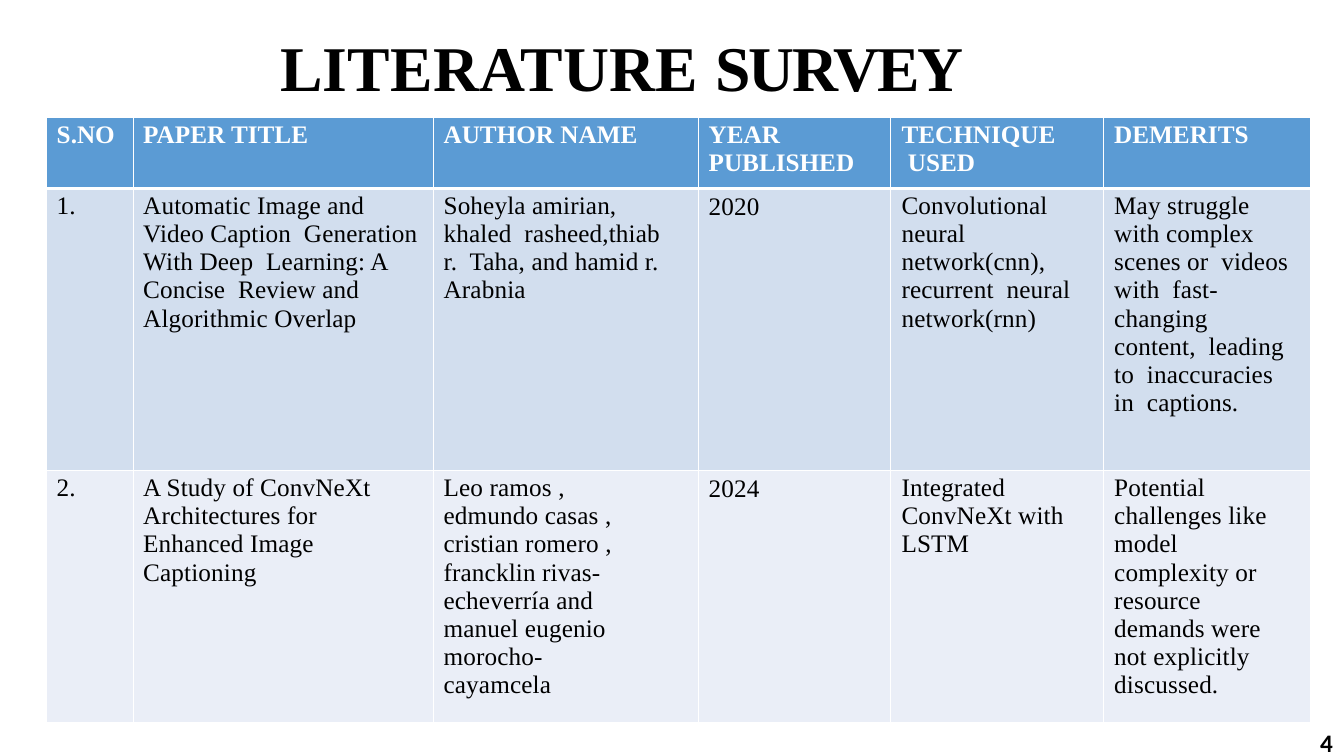
import pptx
import pptx.util
import pptx.dml.color
import pptx.oxml
import pptx.oxml.ns
from pptx.util import Cm, Pt

# Content
TITLE = [("LITERATURE ", 20), ("SURVEY", -160)]
PAGE = "4"
HEADER = ["S.NO", "PAPER TITLE", "AUTHOR NAME", "YEAR PUBLISHED",
          "TECHNIQUE\n USED", "DEMERITS"]
PAPERS = [
    ["1.",
     "Automatic Image and Video Caption  Generation With Deep  Learning: A "
     "Concise  Review and Algorithmic Overlap",
     "Soheyla amirian, khaled  rasheed,thiab r.  Taha, and hamid r.  Arabnia",
     "2020",
     "Convolutional neural network(cnn), recurrent  neural network(rnn)",
     "May struggle with complex scenes or  videos with  fast-changing "
     "content,  leading to  inaccuracies in  captions."],
    ["2.",
     "A Study of ConvNeXt Architectures for Enhanced Image Captioning",
     "Leo ramos , edmundo casas , cristian romero , francklin "
     "rivas-echeverría and manuel eugenio morocho-cayamcela",
     "2024",
     "Integrated ConvNeXt with LSTM",
     "Potential challenges like model complexity or resource demands were "
     "not explicitly discussed."],
]

# Layout and style
COLS = [2.18, 7.57, 6.68, 4.83, 5.36, 5.23]
ROWS = [1.78, 7.11, 6.35]
LEFT_INDENT = [0.25, 0.25, 0.25, 0.25, 0.28, 0.28]
RIGHT_INDENT = [[0] * 6,
                [0, 0.3, 0.74, 0, 0.4, 0.5],
                [0, 1.14, 1.7, 0, 0.4, 0.86]]
FILLS = ["5B9BD4", "D2DEEE", "EAEEF7"]
SPACE_BEFORE = [2.1, 2.1, 2.5]
YEAR = 3
SERIF = "Times New Roman"


def color(value):
    return pptx.dml.color.RGBColor.from_string(value)


def add_text(p, text, size, font=SERIF, ink="000000", bold=False, spacing=0):
    for i, line in enumerate(text.split("\n")):
        if i:
            p.add_line_break()
        r = p.add_run()
        r.text = line
        r.font.name, r.font.size, r.font.bold = font, Pt(size), bold
        r.font.color.rgb = color(ink)
        if spacing:
            r._r.get_or_add_rPr().set("spc", str(spacing))


def add_box(s, left, top, width, height):
    tf = s.shapes.add_textbox(Cm(left), Cm(top), Cm(width), Cm(height)).text_frame
    tf.word_wrap = True
    return tf


def set_borders(cell, widths):
    tcPr = cell._tc.get_or_add_tcPr()
    for i, (side, width) in enumerate(widths.items()):
        tcPr.insert(i, pptx.oxml.parse_xml(
            f'<a:{side} {pptx.oxml.ns.nsdecls("a")} w="{Pt(width)}"><a:solidFill>'
            f'<a:srgbClr val="FFFFFF"/></a:solidFill></a:{side}>'))


prs = pptx.Presentation()
prs.slide_width, prs.slide_height = Cm(33.87), Cm(19.05)
s = prs.slides.add_slide(prs.slide_layouts[6])

# Title
tf = add_box(s, 7.06, 0.64, 17.55, 2)
tf.margin_left = tf.margin_right = tf.margin_bottom = 0
tf.margin_top = Cm(0.05)
tf.paragraphs[0].space_before = Pt(1.3)
for text, spacing in TITLE:
    add_text(tf.paragraphs[0], text, 45.5, bold=True, spacing=spacing)

# Survey table
table = s.shapes.add_table(len(ROWS), len(COLS), Cm(1.18), Cm(2.97),
                           Cm(sum(COLS)), Cm(sum(ROWS))).table
for col, width in zip(table.columns, COLS):
    col.width = Cm(width)
for row, height in zip(table.rows, ROWS):
    row.height = Cm(height)
for i, texts in enumerate([HEADER] + PAPERS):
    head = i == 0
    for j, text in enumerate(texts):
        cell = table.cell(i, j)
        cell.margin_left = cell.margin_right = cell.margin_bottom = 0
        cell.margin_top = Cm(0.1 if j == YEAR and not head else 0.08)
        cell.fill.solid()
        cell.fill.fore_color.rgb = color(FILLS[i])
        set_borders(cell, {"lnL": 1, "lnR": 1, "lnT": 3 if i == 1 else 1,
                           "lnB": 3 if head else 1})
        p = cell.text_frame.paragraphs[0]
        p.space_before = Pt(SPACE_BEFORE[i])
        p.line_spacing = 1.01
        pPr = p._p.get_or_add_pPr()
        pPr.set("marL", str(Cm(LEFT_INDENT[j])))
        pPr.set("marR", str(Cm(RIGHT_INDENT[i][j])))
        add_text(p, text, 18, ink="FFFFFF" if head else "000000",
                 bold=head, spacing=0 if head else 10)

# Page number
tf = add_box(s, 33.02, 18.21, 0.64, 1.02)
tf.word_wrap = False
add_text(tf.paragraphs[0], PAGE, 18, "Calibri", bold=True)

prs.save("out.pptx")
